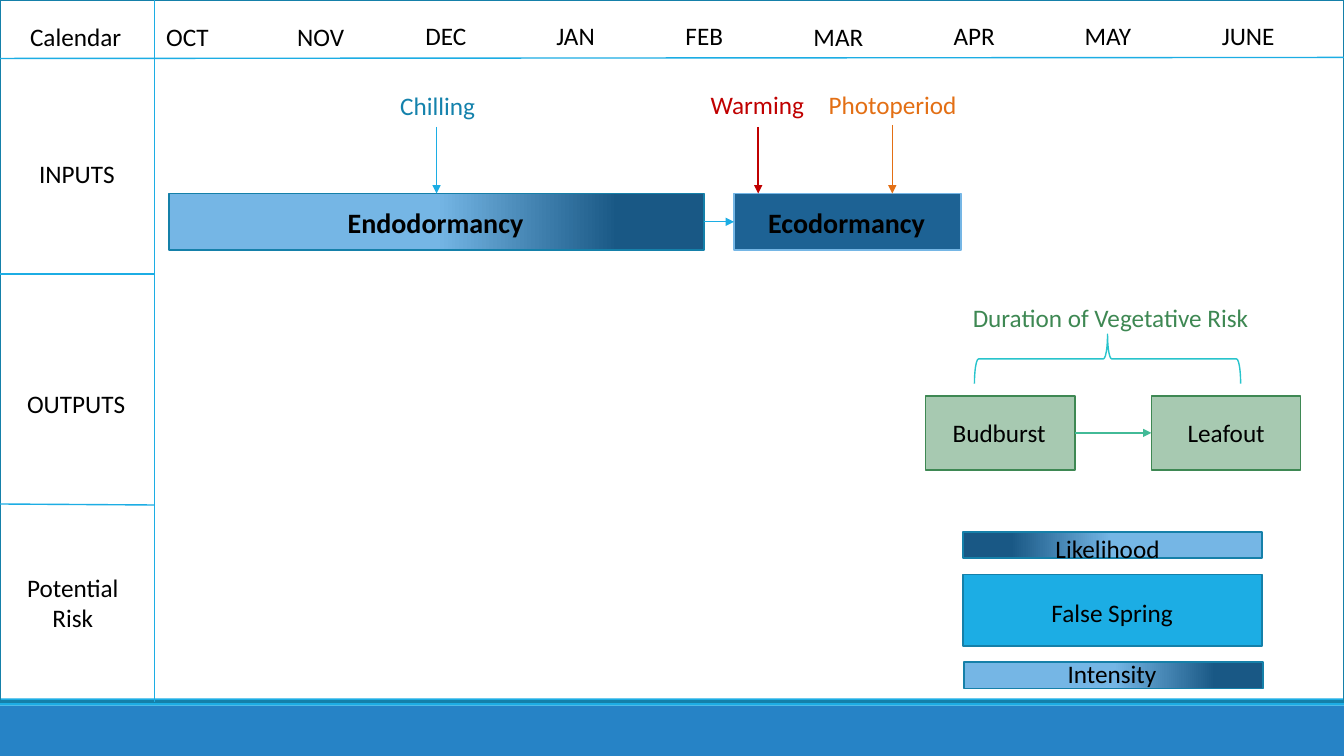
from dataclasses import dataclass

from lxml.etree import SubElement
from pptx import Presentation
from pptx.dml.color import RGBColor
from pptx.enum.shapes import MSO_CONNECTOR, MSO_SHAPE
from pptx.enum.text import MSO_AUTO_SIZE, PP_ALIGN
from pptx.oxml.ns import qn
from pptx.util import Inches, Pt


@dataclass(frozen=True)
class Theme:
    font: str = "Calibri"
    label_size: int = 18
    phase_size: int = 20
    rule_width: float = 1
    box_line_width: float = 1.25
    frame_width: float = 2
    black: str = "000000"
    footer: str = "2683C6"
    cyan: str = "1CADE4"
    outline: str = "1580A9"
    chilling: str = "1482AC"
    warming: str = "C00000"
    photoperiod: str = "E36F14"
    green: str = "3E8853"
    arrow_green: str = "42BA97"
    brace: str = "28C4CC"
    dark_blue: str = "1D6294"
    light_blue: str = "75B6E5"
    fade: tuple = ((16, "195885"), (50, "75B6E5"), (79, "75B6E5"))


THEME = Theme()


def rgb(color):
    return RGBColor.from_string(color)


def apply_format(target, values):
    for name, value in values.items():
        setattr(target, name, value)


def set_line(line, color, width):
    line.color.rgb = rgb(color)
    line.width = Pt(width)


def add_block(page, place, fill=None, line=None, width=THEME.box_line_width,
              kind=MSO_SHAPE.RECTANGLE):
    block = page.shapes.add_shape(kind, *map(Inches, place))
    block.shadow.inherit = False
    if fill:
        block.fill.solid()
        block.fill.fore_color.rgb = rgb(fill)
    else:
        block.fill.background()
    if line:
        set_line(block.line, line, width)
    else:
        block.line.fill.background()
    return block


def add_fading_block(page, place, angle):
    block = add_block(page, place, line=THEME.outline)
    block.fill.gradient()
    block.fill.gradient_angle = angle
    stops = block.fill._fill._gradFill.find(qn("a:gsLst"))
    for stop in list(stops):
        stops.remove(stop)
    for percent, color in THEME.fade:
        stop = SubElement(stops, qn("a:gs"), pos=str(percent * 1000))
        SubElement(stop, qn("a:srgbClr"), val=color)
    return block


def add_stage(page, place):
    block = add_block(page, place, THEME.green, THEME.green)
    color = block.fill._xPr.find(qn("a:solidFill"))[0]
    SubElement(color, qn("a:alpha"), val="45000")
    return block


def add_rule(page, start, end, color=THEME.cyan, arrow=False):
    rule = page.shapes.add_connector(
        MSO_CONNECTOR.STRAIGHT, *map(Inches, (*start, *end)))
    set_line(rule.line, color, THEME.rule_width)
    if arrow:
        SubElement(rule.line._get_or_add_ln(), qn("a:tailEnd"), type="triangle")
    SubElement(rule._element.spPr, qn("a:effectLst"))
    return rule


def join_blocks(page, first, second, color):
    arrow = add_rule(page, (0, 0), (1, 0), color, arrow=True)
    arrow.begin_connect(first, 3)
    arrow.end_connect(second, 1)


def add_label(page, text, left, top, width, color=THEME.black,
              size=THEME.label_size, bold=False, height=0.4):
    box = page.shapes.add_textbox(*map(Inches, (left, top, width, height)))
    frame = box.text_frame
    apply_format(frame, {"word_wrap": False, "text": text,
                         "auto_size": MSO_AUTO_SIZE.SHAPE_TO_FIT_TEXT})
    for para in frame.paragraphs:
        apply_format(para.font, {"name": THEME.font, "size": Pt(size),
                                 "bold": bold})
        para.font.color.rgb = rgb(color)
    return box


def draw_grid(page):
    # Footer bands, frame and dividing lines
    add_block(page, (0, 7, 13.33, 0.5), THEME.footer)
    add_block(page, (0, 6.93, 13.33, 0.07), THEME.cyan)
    add_block(page, (0, 0, 13.33, 6.96), line=THEME.outline,
              width=THEME.frame_width)
    for start, end in (((1.53, 0), (1.53, 6.96)), ((0, 0.58), (13.33, 0.57)),
                       ((0, 2.72), (1.53, 2.72)), ((0, 5), (1.53, 5.01))):
        add_rule(page, start, end)

    # Calendar heading and months
    for heading in (("Calendar", 0.2, 0.16, 1.12), ("OCT", 1.55, 0.16, 0.63),
                    ("NOV", 2.85, 0.16, 0.67), ("DEC", 4.12, 0.15, 0.61),
                    ("JAN", 5.42, 0.15, 0.59), ("FEB", 6.7, 0.15, 0.58),
                    ("MAR", 7.97, 0.16, 0.7), ("APR", 9.36, 0.15, 0.61),
                    ("MAY", 10.66, 0.15, 0.67), ("JUNE", 12.02, 0.15, 0.73)):
        add_label(page, *heading)

    # Row names
    add_label(page, "INPUTS", 0.29, 1.52, 0.96)
    add_label(page, "OUTPUTS", 0.17, 3.8, 1.18)
    risk = add_label(page, "Potential\nRisk", 0.17, 5.63, 1.18, height=0.71)
    risk.text_frame.paragraphs[1].alignment = PP_ALIGN.CENTER


def draw_inputs(page):
    # Dormancy phases
    endodormancy = add_fading_block(page, (1.68, 1.92, 5.3, 0.56), 180)
    ecodormancy = add_block(page, (7.28, 1.92, 2.25, 0.56), THEME.dark_blue,
                            THEME.light_blue)
    for name, left, width in (("Endodormancy", 3.35, 1.96),
                              ("Ecodormancy", 7.52, 1.77)):
        add_label(page, name, left, 1.99, width, size=THEME.phase_size,
                  bold=True)
    join_blocks(page, endodormancy, ecodormancy, THEME.cyan)

    # Cues that act on the phases
    chilling = add_rule(page, (4.33, 1.26), (4.33, 1.92), arrow=True)
    chilling.end_connect(endodormancy, 0)
    add_rule(page, (7.52, 1.26), (7.52, 1.92), THEME.warming, arrow=True)
    add_rule(page, (8.85, 1.24), (8.85, 1.92), THEME.photoperiod, arrow=True)
    for cue in (("Chilling", 3.87, 0.85, 0.95, THEME.chilling),
                ("Warming", 6.95, 0.84, 1.14, THEME.warming),
                ("Photoperiod", 8.12, 0.84, 1.48, THEME.photoperiod)):
        add_label(page, *cue)


def draw_outputs(page):
    budburst, leafout = [add_stage(page, (left, 3.93, 1.48, 0.73))
                         for left in (9.18, 11.42)]
    join_blocks(page, budburst, leafout, THEME.arrow_green)
    brace = add_block(page, (10.74, 2.24, 0.49, 2.64), line=THEME.brace,
                      width=THEME.rule_width, kind=MSO_SHAPE.RIGHT_BRACE)
    brace.rotation = 270
    add_label(page, "Duration of Vegetative Risk", 9.55, 2.95, 2.97, THEME.green)
    add_label(page, "Budburst", 9.35, 4.09, 1.13)
    add_label(page, "Leafout", 11.68, 4.09, 0.98)


def draw_risk(page):
    add_block(page, (9.55, 5.7, 2.97, 0.71), THEME.cyan, THEME.outline)
    add_fading_block(page, (9.55, 5.28, 2.97, 0.26), 0)
    add_fading_block(page, (9.56, 6.57, 2.97, 0.26), 180)
    for factor in (("False Spring", 10.33, 5.88, 1.42),
                   ("Likelihood", 10.37, 5.24, 1.25),
                   ("Intensity", 10.49, 6.48, 1.09)):
        add_label(page, *factor)


def main():
    deck = Presentation()
    apply_format(deck, {"slide_width": Inches(13.33),
                        "slide_height": Inches(7.5)})
    page = deck.slides.add_slide(deck.slide_layouts[6])
    for draw_part in (draw_grid, draw_inputs, draw_outputs, draw_risk):
        draw_part(page)
    deck.save("out.pptx")


if __name__ == "__main__":
    main()
